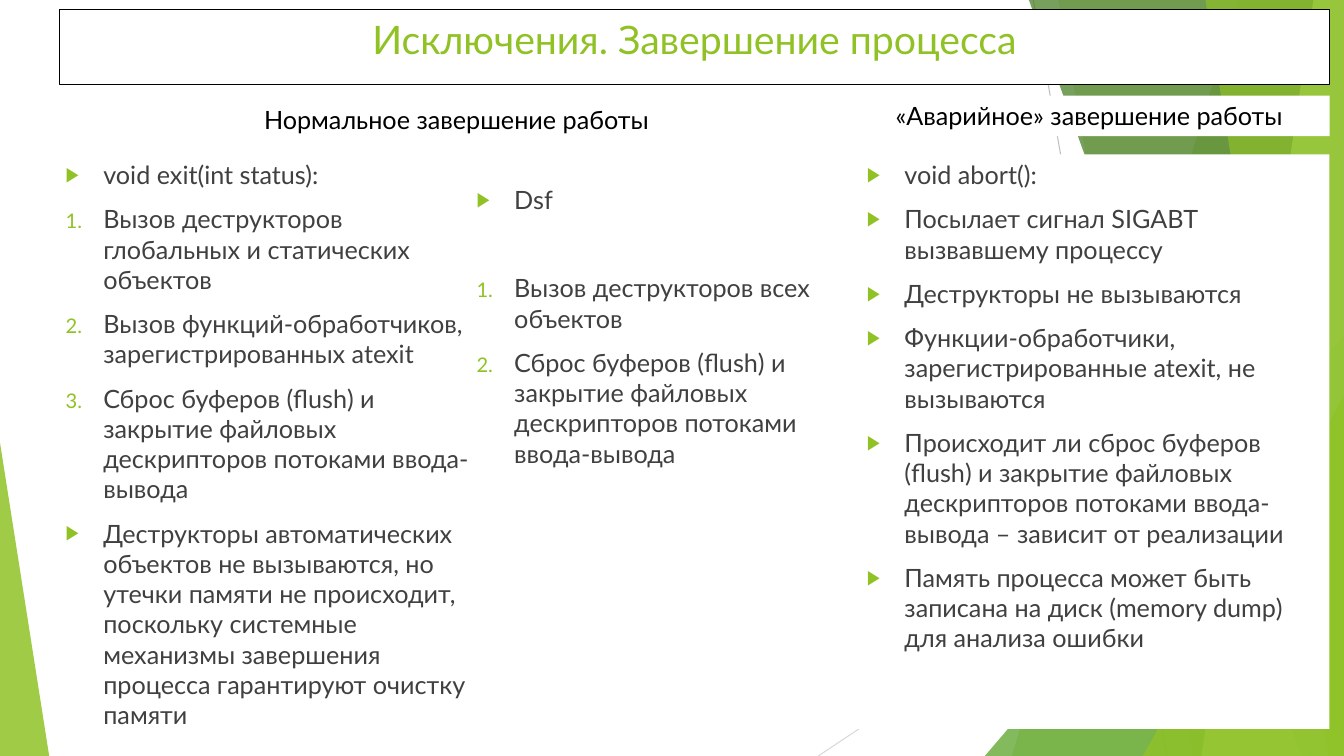
import pptx
import pptx.util
import pptx.dml.color
import pptx.enum.shapes
import pptx.enum.text
import pptx.oxml
import pptx.oxml.ns
from pptx.util import Cm

COLORS = {
    "white": "FFFFFF", "black": "000000", "text": "404040",
    "green": "90C226", "mid": "54A021", "dark": "3F7819", "light": "C0E474",
    "line1": "BFBFBF", "line2": "D9D9D9",
}
FONT = "Lato"
BULLET, NUMBER = "bullet", "number"
ALIGN = pptx.enum.text.PP_ALIGN

EXIT_ITEMS = [
    (BULLET, "void exit(int status):"),
    (NUMBER, "Вызов деструкторов глобальных и статических объектов"),
    (NUMBER, "Вызов функций-обработчиков, зарегистрированных atexit"),
    (NUMBER, "Сброс буферов (flush) и закрытие файловых дескрипторов потоками ввода-вывода"),
    (BULLET, "Деструкторы автоматических объектов не вызываются, но утечки памяти "
             "не происходит, поскольку системные механизмы завершения процесса "
             "гарантируют очистку памяти"),
]
DSF_ITEMS = [
    (BULLET, "Dsf"),
    (NUMBER, "Вызов деструкторов всех объектов"),
    (NUMBER, "Сброс буферов (flush) и закрытие файловых дескрипторов потоками ввода-вывода"),
]
ABORT_ITEMS = [
    (BULLET, "void abort():"),
    (BULLET, "Посылает сигнал SIGABT вызвавшему процессу"),
    (BULLET, "Деструкторы не вызываются"),
    (BULLET, "Функции-обработчики, зарегистрированные atexit, не вызываются"),
    (BULLET, "Происходит ли сброс буферов (flush) и закрытие файловых дескрипторов "
             "потоками ввода-вывода – зависит от реализации"),
    (BULLET, "Память процесса может быть записана на диск (memory dump) для анализа ошибки"),
]


def rgb(name):
    return pptx.dml.color.RGBColor.from_string(COLORS[name])


def add_xml(parent, tag, **attrs):
    el = pptx.oxml.ns.qn("a:" + tag)
    child = parent.makeelement(el, attrs)
    parent.append(child)
    return child


def place(sp, box):
    sp.left, sp.top, sp.width, sp.height = (Cm(v) for v in box)


def paint(sp, color, alpha):
    sp.shadow.inherit = False
    sp.fill.solid()
    sp.fill.fore_color.rgb = rgb(color)
    sp.line.fill.background()
    clr = sp.fill._xPr.find(".//" + pptx.oxml.ns.qn("a:srgbClr"))
    add_xml(clr, "alpha", val=str(alpha * 1000))


def style_runs(p, size, color):
    for r in p.runs:
        r.font.name, r.font.size, r.font.bold = FONT, pptx.util.Pt(size), False
        r.font.color.rgb = rgb(color)


def setup_frame(sp):
    tf = sp.text_frame
    tf.word_wrap = True
    tf.auto_size = pptx.enum.text.MSO_AUTO_SIZE.NONE
    tf.vertical_anchor = pptx.enum.text.MSO_ANCHOR.TOP
    return tf


# Facets along the right edge and the wedge at the lower left
def add_facets(s, box):
    x, y, w, h = box
    right, bottom = x + w, y + h
    group = s.shapes.add_group_shape()
    s.shapes._spTree.insert(2, group._element)

    def line(x1, y1, x2, y2, color):
        c = group.shapes.add_connector(pptx.enum.shapes.MSO_CONNECTOR.STRAIGHT,
                                       Cm(x1), Cm(y1), Cm(x2), Cm(y2))
        c.line.color.rgb = rgb(color)
        c.line.width = pptx.util.Pt(0.75)
        add_xml(c._element.spPr, "effectLst")

    def ribbon(top_x, bottom_x, color, alpha):
        fb = group.shapes.build_freeform(Cm(x + top_x), Cm(y))
        fb.add_line_segments([(Cm(right), Cm(y)), (Cm(right), Cm(bottom)),
                              (Cm(x + bottom_x), Cm(bottom))], close=True)
        paint(fb.convert_to_shape(), color, alpha)

    def wedge(left, top, width, apex, color, alpha):
        sp = group.shapes.add_shape(
            pptx.enum.shapes.MSO_SHAPE.ISOSCELES_TRIANGLE,
            Cm(x + left), Cm(y + top), Cm(width), Cm(h - top))
        sp.adjustments[0] = apex
        paint(sp, color, alpha)

    line(x + 26.04, y, x + 29.41, bottom, "line1")
    line(right, y + 10.24, x + 20.62, bottom, "line2")
    ribbon(31.19, 25.5, "green", 30)
    ribbon(26.67, 30.05, "green", 20)
    wedge(24.82, 8.46, w - 24.82, 1, "mid", 72)
    ribbon(25.93, 32.79, "dark", 70)
    ribbon(33.1, 30.28, "light", 70)
    ribbon(30.38, 33.48, "green", 65)
    wedge(28.8, 9.98, w - 28.8, 1, "green", 80)
    wedge(0, 11.15, 1.24, 0, "green", 85)


# One line of text: slide title or column heading
def fill_line(sp, box, text, size, color, align, white=False):
    place(sp, box)
    tf = setup_frame(sp)
    tf.text = text
    p = tf.paragraphs[0]
    p.alignment = align
    p.space_before = pptx.util.Pt(0)
    style_runs(p, size, color)
    if white:
        sp.fill.solid()
        sp.fill.fore_color.rgb = rgb("white")


# List of bulleted and numbered paragraphs
def fill_list(sp, box, items, gaps=None):
    place(sp, box)
    tf = setup_frame(sp)
    for i, (kind, text) in enumerate(items):
        p = tf.paragraphs[0] if i == 0 else tf.add_paragraph()
        p.text = text
        pPr = p._p.get_or_add_pPr()
        pPr.set("marL", str(Cm(0.95)))
        pPr.set("indent", str(-Cm(0.95)))
        p.space_before = pptx.util.Pt((gaps or {}).get(i, 10) if i else 0)
        add_xml(add_xml(pPr, "buClr"), "srgbClr", val=COLORS["green"])
        add_xml(pPr, "buSzPct", val="80000")
        if kind == NUMBER:
            add_xml(pPr, "buFont", typeface=FONT)
            add_xml(pPr, "buAutoNum", type="arabicPeriod")
        else:
            add_xml(pPr, "buFont", typeface="Arial")
            add_xml(pPr, "buChar", char="▶")
        style_runs(p, 18, "text")


def main():
    prs = pptx.Presentation()
    prs.slide_width, prs.slide_height = Cm(33.87), Cm(19.05)
    s = prs.slides.add_slide(prs.slide_layouts.get_by_name("Comparison"))
    title, head_exit, list_exit, head_abort, list_abort = s.placeholders

    add_facets(s, (0, 0, 33.87, 19.05))

    # Title
    fill_line(title, (1.5, 0.25, 32, 1.88), "Исключения. Завершение процесса",
              28, "green", ALIGN.CENTER, white=True)
    title.line.color.rgb = rgb("black")
    title.line.width = pptx.util.Pt(0.75)

    # Normal termination
    fill_line(head_exit, (6.4, 2.49, 13.67, 1.02), "Нормальное завершение работы",
              18, "black", ALIGN.LEFT)
    fill_list(list_exit, (1.4, 3.89, 10.87, 14.48), EXIT_ITEMS)
    list_dsf = s.shapes.add_textbox(0, 0, 0, 0)
    fill_list(list_dsf, (11.76, 4.52, 10.08, 14.48), DSF_ITEMS, gaps={1: 41.6})

    # Abnormal termination
    fill_line(head_abort, (21.39, 2.41, 12.12, 1.02), "«Аварийное» завершение работы",
              18, "black", ALIGN.CENTER, white=True)
    fill_list(list_abort, (21.59, 3.89, 11.91, 14.48), ABORT_ITEMS)
    list_abort.fill.solid()
    list_abort.fill.fore_color.rgb = rgb("white")

    prs.save("out.pptx")


if __name__ == "__main__":
    main()
